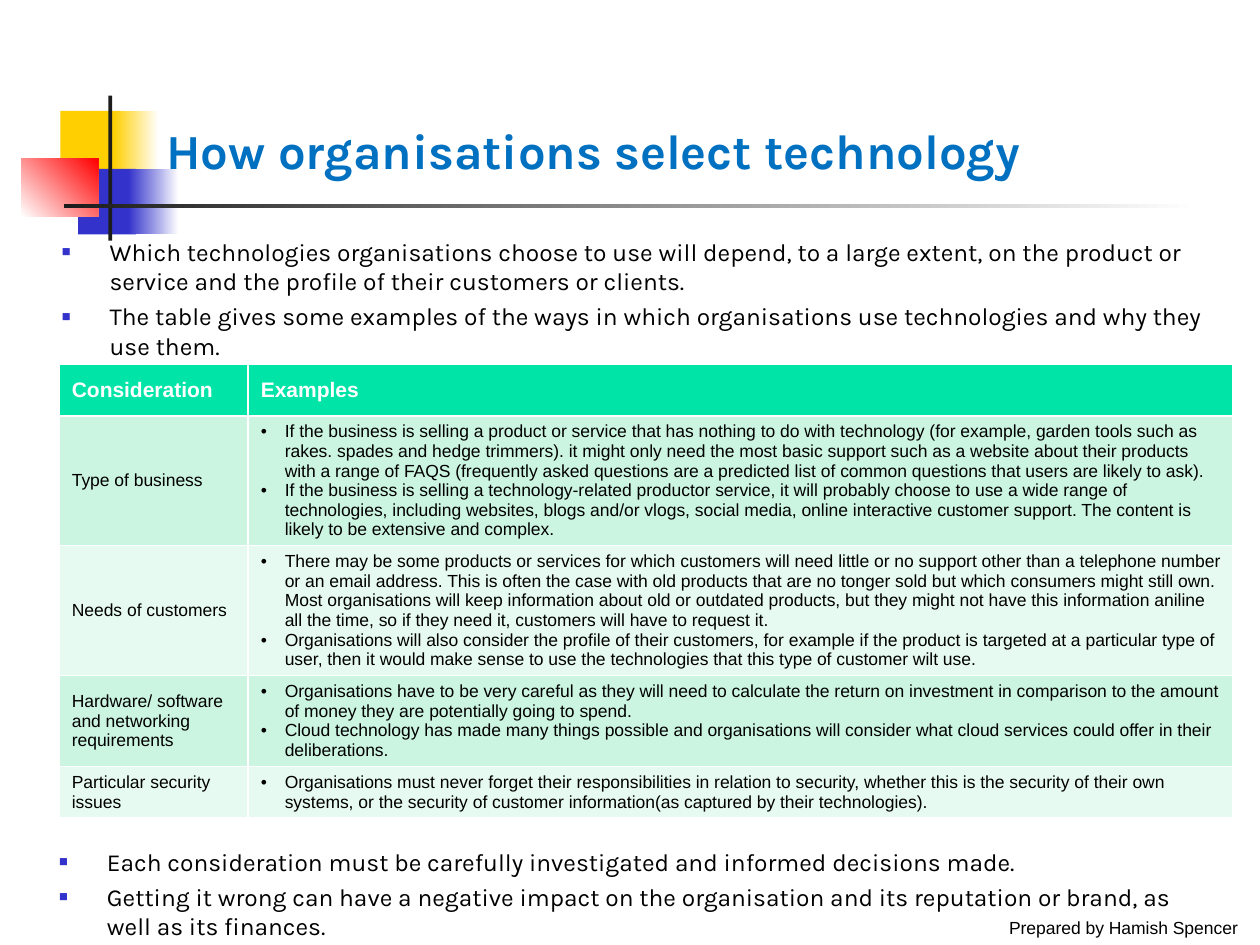
from lxml import etree
from pptx import Presentation
from pptx.dml.color import RGBColor
from pptx.enum import shapes, text
from pptx.oxml import ns
from pptx.util import Inches, Pt

WHITE = RGBColor(0xFF, 0xFF, 0xFF)
BLACK = RGBColor(0x00, 0x00, 0x00)
YELLOW = RGBColor(0xFF, 0xCF, 0x01)
BLUE = RGBColor(0x33, 0x33, 0xCC)
RED = RGBColor(0xFF, 0x00, 0x00)
CHARCOAL = RGBColor(0x1C, 0x1C, 0x1C)
TITLE_BLUE = RGBColor(0x00, 0x70, 0xC0)
HEADER_GREEN = RGBColor(0x00, 0xE4, 0xA8)
BAND_COLORS = [RGBColor(0xCC, 0xF5, 0xE1), RGBColor(0xE7, 0xFA, 0xF1)]

DECORATIONS = [
    ((0.48, 0.88, 0.48, 0.52), [YELLOW], 0),
    ((0.9, 0.88, 0.36, 0.52), [YELLOW, WHITE], 0),
    ((0.62, 1.34, 0.46, 0.52), [BLUE], 0),
    ((1.02, 1.34, 0.4, 0.52), [BLUE, WHITE], 0),
    ((0.17, 1.26, 0.61, 0.46), [WHITE, RED], 45),
    ((0.86, 0.76, 0.03, 1.15), [CHARCOAL], 0),
    ((0.51, 1.62, 9, 0.03), [CHARCOAL, WHITE], 0),
]

INTRODUCTION = [
    "Which technologies organisations choose to use will depend, to a large extent, on the product or service and the profile of their customers or clients.",
    "The table gives some examples of the ways in which organisations use technologies and why they use them.",
]
CONCLUSION = [
    "Each consideration must be carefully investigated and informed decisions made.",
    "Getting it wrong can have a negative impact on the organisation and its reputation or brand, as well as its finances.",
]
HEADINGS = ["Consideration", "Examples"]
CONSIDERATIONS = [
    ("Type of business", [
        "If the business is selling a product or service that has nothing to do with technology (for example, garden tools such as rakes. spades and hedge trimmers). it might only need the most basic support such as a website about their products with a range of FAQS (frequently asked questions are a predicted list of common questions that users are likely to ask).",
        "If the business is selling a technology-related productor service, it will probably choose to use a wide range of technologies, including websites, blogs and/or vlogs, social media, online interactive customer support. The content is likely to be extensive and complex.",
    ]),
    ("Needs of customers", [
        "There may be some products or services for which customers will need little or no support other than a telephone number or an email address. This is often the case with old products that are no tonger sold but which consumers might still own. Most organisations will keep information about old or outdated products, but they might not have this information aniline all the time, so if they need it, customers will have to request it.",
        "Organisations will also consider the profile of their customers, for example if the product is targeted at a particular type of user, then it would make sense to use the technologies that this type of customer wilt use.",
    ]),
    ("Hardware/ software and networking requirements", [
        "Organisations have to be very careful as they will need to calculate the return on investment in comparison to the amount of money they are potentially going to spend.",
        "Cloud technology has made many things possible and organisations will consider what cloud services could offer in their deliberations.",
    ]),
    ("Particular security issues", [
        "Organisations must never forget their responsibilities in relation to security, whether this is the security of their own systems, or the security of customer information(as captured by their technologies).",
    ]),
]


def place(shape, left, top, width, height):
    shape.left, shape.top = Inches(left), Inches(top)
    shape.width, shape.height = Inches(width), Inches(height)


def add_decoration(slide, box, colors, angle):
    shape = slide.shapes.add_shape(
        shapes.MSO_SHAPE.RECTANGLE, *(Inches(length) for length in box))
    shape.shadow.inherit = False
    shape.line.fill.background()
    if len(colors) == 1:
        shape.fill.solid()
        shape.fill.fore_color.rgb = colors[0]
        return
    shape.fill.gradient()
    shape.fill.gradient_angle = angle
    for stop, color in zip(shape.fill.gradient_stops, colors):
        stop.color.rgb = color


def set_font(paragraph, name, size, color, bold=False):
    font = paragraph.font
    font.name, font.size, font.bold = name, Pt(size), bold
    font.color.rgb = color


def set_bullet(paragraph, character, indent, color=None, percent=100):
    properties = paragraph._p.get_or_add_pPr()
    properties.set("marL", str(Inches(indent)))
    properties.set("indent", str(-Inches(indent)))
    if color is not None:
        holder = etree.SubElement(properties, ns.qn("a:buClr"))
        etree.SubElement(holder, ns.qn("a:srgbClr"), val=str(color))
    etree.SubElement(properties, ns.qn("a:buSzPct"), val=str(percent * 1000))
    etree.SubElement(properties, ns.qn("a:buFont"), typeface="Arial")
    etree.SubElement(properties, ns.qn("a:buChar"), char=character)


def write_paragraphs(frame, lines):
    frame.text = "\n".join(lines)
    return frame.paragraphs


def fill_list(shape, box, lines):
    place(shape, *box)
    frame = shape.text_frame
    frame.word_wrap = True
    frame.auto_size = text.MSO_AUTO_SIZE.NONE
    for index, paragraph in enumerate(write_paragraphs(frame, lines)):
        set_bullet(paragraph, "■", 0.38, BLUE, 60)
        paragraph.space_before = Pt(3.3 if index else 0)
        set_font(paragraph, "Karla", 14, BLACK)


def fill_title(title):
    place(title, 1.22, 0.44, 8.52, 1.03)
    frame = title.text_frame
    frame.auto_size = text.MSO_AUTO_SIZE.NONE
    frame.vertical_anchor = text.MSO_ANCHOR.BOTTOM
    paragraph = write_paragraphs(frame, ["How organisations select technology"])[0]
    paragraph.alignment = text.PP_ALIGN.LEFT
    set_font(paragraph, "Karla", 28, TITLE_BLUE, True)


def fill_cell(cell, lines, fill, size=10, color=BLACK, bold=False, bulleted=False):
    cell.fill.solid()
    cell.fill.fore_color.rgb = fill
    cell.vertical_anchor = text.MSO_ANCHOR.MIDDLE
    for paragraph in write_paragraphs(cell.text_frame, lines):
        if bulleted:
            set_bullet(paragraph, "•", 0.19)
        set_font(paragraph, "Arial", size, color, bold)


def add_considerations(slide):
    row_heights = [0.41, 1.03, 1.03, 0.72, 0.41]
    table = slide.shapes.add_table(
        len(row_heights), len(HEADINGS), Inches(0.47), Inches(2.89),
        Inches(9.31), Inches(sum(row_heights))).table
    table.horz_banding = False
    for column, width in zip(table.columns, [1.5, 7.81]):
        column.width = Inches(width)
    for row, height in zip(table.rows, row_heights):
        row.height = Inches(height)
    for column, heading in enumerate(HEADINGS):
        fill_cell(table.cell(0, column), [heading], HEADER_GREEN, 12, WHITE, True)
    for index, (consideration, examples) in enumerate(CONSIDERATIONS):
        band = BAND_COLORS[index % 2]
        fill_cell(table.cell(index + 1, 0), [consideration], band)
        fill_cell(table.cell(index + 1, 1), examples, band, bulleted=True)


def add_credit(slide):
    box = slide.shapes.add_textbox(
        Inches(7.91), Inches(7.23), Inches(2.09), Inches(0.27))
    box.text_frame.word_wrap = True
    paragraph = write_paragraphs(box.text_frame, ["Prepared by Hamish Spencer"])[0]
    set_font(paragraph, "Arial", 10, BLACK)


def main():
    presentation = Presentation()
    presentation.slide_width, presentation.slide_height = Inches(10), Inches(7.5)
    slide = presentation.slides.add_slide(presentation.slide_layouts[1])
    title, body = slide.placeholders
    for box, colors, angle in DECORATIONS:
        add_decoration(slide, box, colors, angle)
    add_credit(slide)
    for placeholder in (title, body):
        slide.shapes._spTree.append(placeholder._element)
    fill_title(title)
    fill_list(body, (0.39, 1.83, 9.39, 1.03), INTRODUCTION)
    add_considerations(slide)
    conclusion = slide.shapes.add_textbox(0, 0, 0, 0)
    fill_list(conclusion, (0.37, 6.67, 9.39, 0.83), CONCLUSION)
    presentation.save("out.pptx")


if __name__ == "__main__":
    main()
